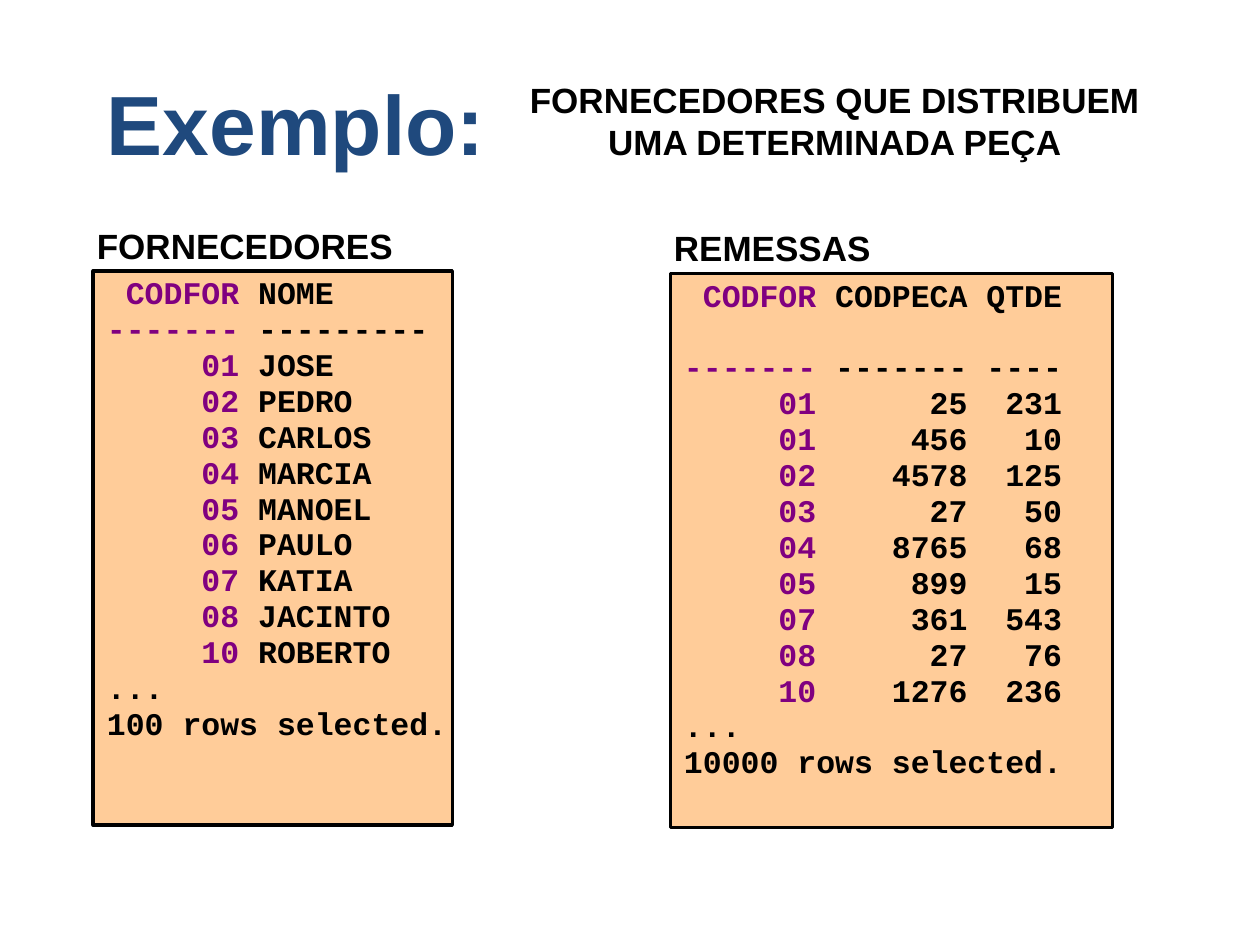
from lxml.etree import SubElement
from pptx import Presentation
from pptx.dml.color import RGBColor
from pptx.enum.shapes import MSO_SHAPE
from pptx.enum.text import MSO_ANCHOR, PP_ALIGN
from pptx.oxml.ns import qn
from pptx.util import Inches, Pt

COLORS = {"title": "1F497D", "text": "000000", "key": "800080", "panel": "FFCC99"}
COLUMNS, ROWS = 100, 75
WIDTH, HEIGHT = Inches(10), Inches(7.5)
CHARACTER = Inches(0.15)  # advance of one 18 pt Courier New character

SUPPLIERS = [
    ("CODFOR", "NOME"), ("-------", "---------"),
    ("01", "JOSE"), ("02", "PEDRO"), ("03", "CARLOS"), ("04", "MARCIA"),
    ("05", "MANOEL"), ("06", "PAULO"), ("07", "KATIA"), ("08", "JACINTO"),
    ("10", "ROBERTO"),
]
SHIPMENTS = [
    ("CODFOR", "CODPECA", "QTDE"), ("-------", "-------", "----"),
    ("01", "25", "231"), ("01", "456", "10"), ("02", "4578", "125"),
    ("03", "27", "50"), ("04", "8765", "68"), ("05", "899", "15"),
    ("07", "361", "543"), ("08", "27", "76"), ("10", "1276", "236"),
]


def color(name):
    return RGBColor.from_string(COLORS[name])


def grid(left, top, width, height):
    """Turn grid columns and rows into slide lengths."""
    return (int(left * WIDTH / COLUMNS), int(top * HEIGHT / ROWS),
            int(width * WIDTH / COLUMNS), int(height * HEIGHT / ROWS))


def add_frame(page, area):
    frame = page.shapes.add_textbox(*grid(*area)).text_frame
    frame.word_wrap = True
    return frame


def style(para, font, size):
    para.font.name = font
    para.font.size = Pt(size)
    para.font.bold = True


def add_span(para, text, color_name):
    span = para.add_run()
    span.text = text
    span.font.color.rgb = color(color_name)


def add_heading(page, area, text, size=20, color_name="text",
                align=PP_ALIGN.LEFT, anchor=MSO_ANCHOR.TOP):
    frame = add_frame(page, area)
    frame.vertical_anchor = anchor
    para = frame.paragraphs[0]
    para.alignment = align
    style(para, "Arial", size)
    add_span(para, text, color_name)


def set_tabs(para, stops):
    """Set tab stops given as (character position, alignment)."""
    tabs = SubElement(para._p.get_or_add_pPr(), qn("a:tabLst"))
    for position, align in stops:
        SubElement(tabs, qn("a:tab"), pos=str(position * CHARACTER), algn=align)


def add_listing(page, area, records, stops, footer, header_gap):
    frame = add_frame(page, area)
    lines = records + [("...",), (footer,)]
    for index, cells in enumerate(lines):
        para = frame.paragraphs[0] if index == 0 else frame.add_paragraph()
        if len(cells) > 1:
            set_tabs(para, stops)
            add_span(para, "\t" + cells[0], "key")
            add_span(para, "\t" + "\t".join(cells[1:]), "text")
        else:
            add_span(para, cells[0], "text")
        style(para, "Courier New", 18)
        para.line_spacing = 0.95
        if index == 0:
            para.space_after = Pt(header_gap)


def add_panel(page, left, top, width, text_width, label, *listing):
    """Draw a labelled box with a query result inside."""
    box = page.shapes.add_shape(MSO_SHAPE.RECTANGLE, *grid(left, top, width, 44))
    box.shadow.inherit = False
    box.fill.solid()
    box.fill.fore_color.rgb = color("panel")
    box.line.color.rgb = color("text")
    box.line.width = Pt(2)
    add_heading(page, (left - 0.7, top - 4.2, 33.3, 4.4), label)
    add_listing(page, (left + 0.1, top - 0.1, text_width, 38.5), *listing)


def main():
    deck = Presentation()
    deck.slide_width, deck.slide_height = WIDTH, HEIGHT
    page = deck.slides.add_slide(deck.slide_layouts[6])

    # Title and subject
    add_heading(page, (7.5, 1.7, 88.3, 12.5), "Exemplo:", 48, "title",
                anchor=MSO_ANCHOR.BOTTOM)
    add_heading(page, (40, 5.7, 52.5, 7.7),
                "FORNECEDORES QUE DISTRIBUEM UMA DETERMINADA PEÇA",
                align=PP_ALIGN.CENTER)

    # Query results
    add_panel(page, 7.4, 21.5, 28.5, 29.2, "FORNECEDORES", SUPPLIERS,
              [(7, "r"), (8, "l")], "100 rows selected.", 0)
    add_panel(page, 53.2, 21.7, 35.1, 34.2, "REMESSAS", SHIPMENTS,
              [(7, "r"), (15, "r"), (20, "r")], "10000 rows selected.", 20.5)

    deck.save("out.pptx")


if __name__ == "__main__":
    main()
